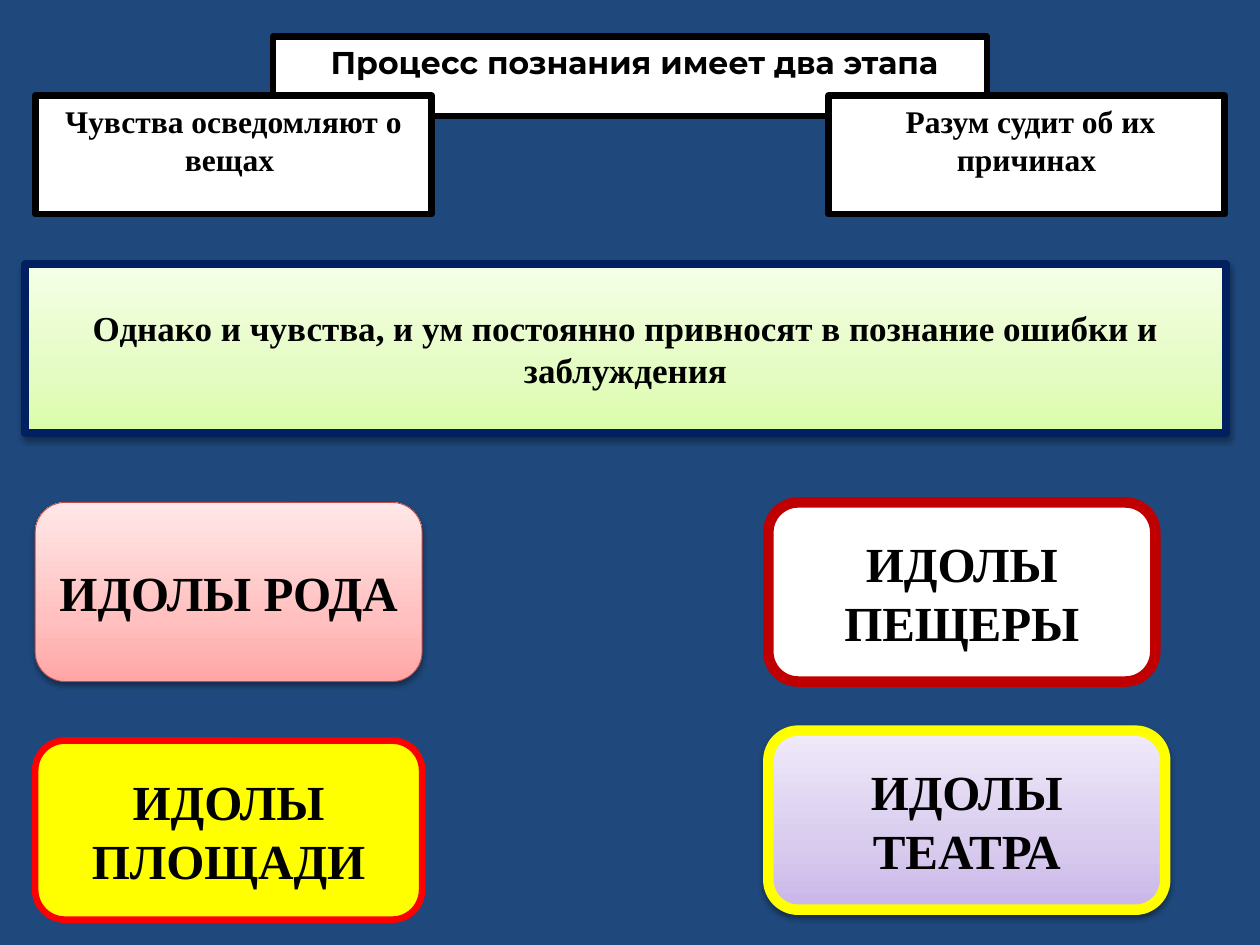
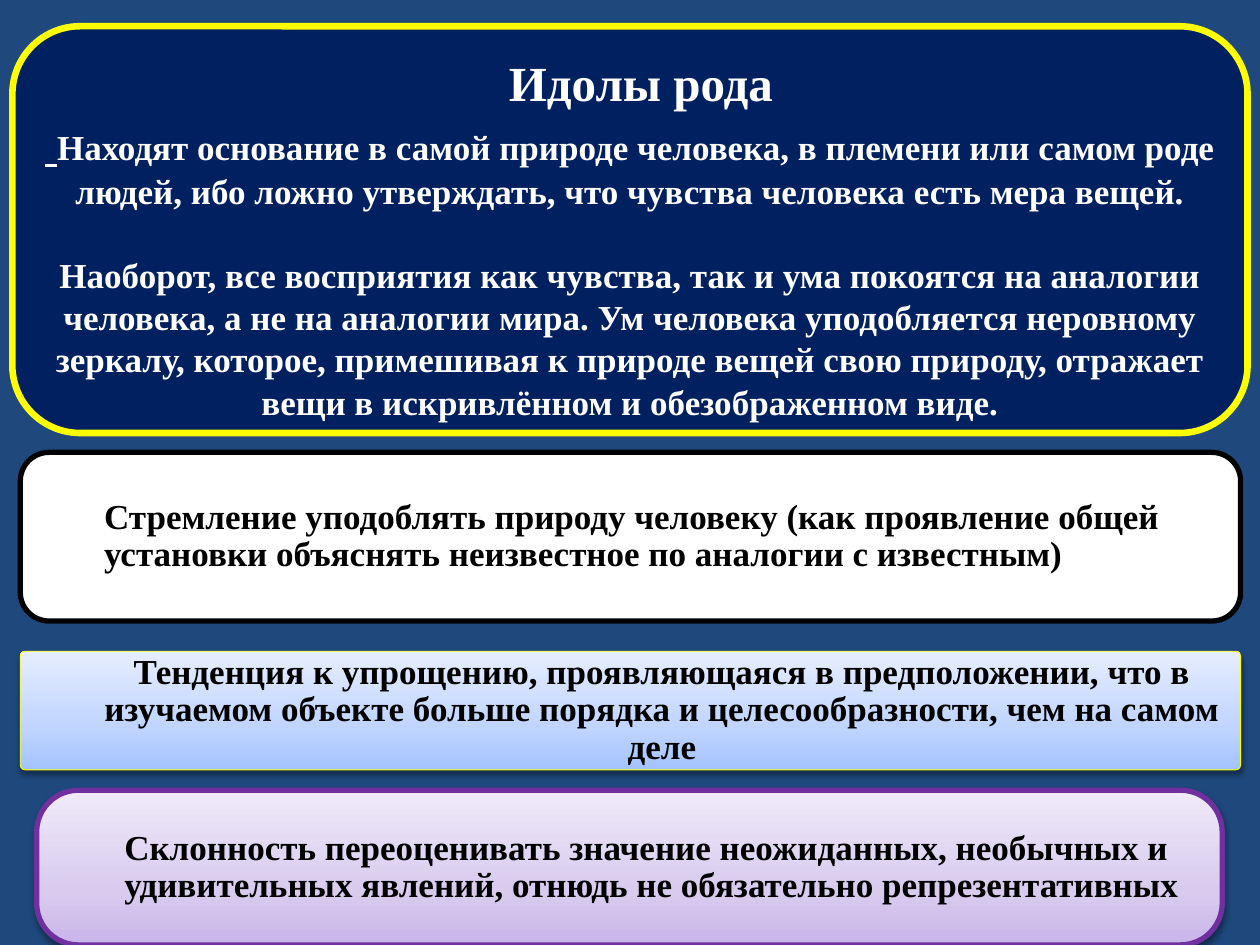
import pptx
import pptx.dml.color
import pptx.enum.shapes
import pptx.enum.text
import pptx.oxml
import pptx.oxml.ns
import pptx.oxml.xmlchemy
import pptx.util
import lxml.etree

Cm = pptx.util.Cm
Pt = pptx.util.Pt
qn = pptx.oxml.ns.qn
SHAPES = pptx.enum.shapes.MSO_SHAPE
ALIGN = pptx.enum.text.PP_ALIGN
ANCHOR = pptx.enum.text.MSO_ANCHOR

NAVY, WHITE, BLACK, YELLOW = "002060", "FFFFFF", "000000", "FFFF00"
GREEN_FADE = ("DAFDA7", "E4FCC2", "F5FFE7")
RED_FADE = ("FFA6A5", "FFC0BF", "FFE7E7")
BLUE_FADE = ("A4C4FF", "BFD4FF", "E6EEFF")
PURPLE_FADE = ("C9B5E8", "D8CBEE", "F0EAF9")
FADE_POSITIONS = (0, 35, 100)
SERIF = "Times New Roman"
THICK = 3.78


def color(value):
    return pptx.dml.color.RGBColor.from_string(value)


def apply(target, values):
    for name, value in values.items():
        setattr(target, name, value)


def add_color(parent, value):
    return lxml.etree.SubElement(parent, qn("a:srgbClr"), val=value)


def fill_fade(shape, fade):
    shape.fill.gradient()
    shape.fill.gradient_angle = 90
    stops = shape.element.find(".//" + qn("a:gsLst"))
    for stop in list(stops):
        stops.remove(stop)
    for position, value in zip(FADE_POSITIONS, fade):
        stop = lxml.etree.SubElement(stops, qn("a:gs"), pos=str(position * 1000))
        add_color(stop, value)


def add_shadow(shape):
    effects = shape.element.find(".//" + qn("a:effectLst"))
    shadow = lxml.etree.SubElement(
        effects, qn("a:outerShdw"), blurRad=str(Pt(3.5)), dist=str(Pt(2)),
        dir="5400000", rotWithShape="0")
    lxml.etree.SubElement(add_color(shadow, BLACK), qn("a:alpha"), val="38000")


def place(shape, box):
    apply(shape, dict(zip(("left", "top", "width", "height"), map(Cm, box))))


def paint(shape, fill, line, line_width):
    shape.shadow.inherit = False
    if isinstance(fill, tuple):
        fill_fade(shape, fill)
        add_shadow(shape)
    else:
        shape.fill.solid()
        shape.fill.fore_color.rgb = color(fill)
    shape.line.color.rgb = color(line)
    shape.line.width = Pt(line_width)


def write_run(paragraph, text, size, text_color, font=SERIF, underline=False):
    run = paragraph.add_run()
    run.text = text
    apply(run.font, {"name": font, "size": Pt(size), "bold": True,
                     "underline": underline})
    run.font.color.rgb = color(text_color)


def write(shape, text, size, text_color=BLACK, font=SERIF, frame_values=None,
          paragraph_values=None):
    frame = shape.text_frame
    apply(frame, {"word_wrap": True,
                  "auto_size": pptx.enum.text.MSO_AUTO_SIZE.NONE,
                  "vertical_anchor": ANCHOR.MIDDLE, **(frame_values or {})})
    paragraph = frame.paragraphs[0]
    apply(paragraph, {"alignment": ALIGN.CENTER, **(paragraph_values or {})})
    write_run(paragraph, text, size, text_color, font)


def add_panel(slide, kind, box, fill, line, line_width):
    shape = slide.shapes.add_shape(kind, *map(Cm, box))
    paint(shape, fill, line, line_width)
    return shape


def add_stages(slide, box):
    left, top, width, height = box
    title = slide.shapes.title
    place(title, (left + 0.2 * width, top, 0.6 * width, 1.6))
    paint(title, WHITE, BLACK, THICK)
    top_anchor = {"vertical_anchor": ANCHOR.TOP}
    write(title, " Процесс познания имеет два этапа", 18, font="Montserrat",
          frame_values=top_anchor)
    stage_width, drop = width / 3, 1.19
    for offset, text in ((0, "Чувства осведомляют о вещах "),
                         (width - stage_width, " Разум судит об их причинах")):
        stage = add_panel(
            slide, SHAPES.RECTANGLE,
            (left + offset, top + drop, stage_width, height - drop),
            WHITE, BLACK, THICK)
        write(stage, text, 18, frame_values=top_anchor)


def add_conclusion(slide, box):
    panel = add_panel(slide, SHAPES.RECTANGLE, box, GREEN_FADE, NAVY, 4.5)
    write(panel, "Однако и чувства, и ум постоянно привносят в познание "
                 "ошибки и заблуждения", 20)


def add_idols(slide, box):
    left, top, width, height = box
    card_height, right_column = 3.61, 14.78
    last_row = height - card_height
    idols = (
        ("ИДОЛЫ РОДА", 0, 0, 7.8, RED_FADE, "BF4C48", 0.5),
        ("ИДОЛЫ ПЛОЩАДИ", 0, last_row, 7.8, YELLOW, "FF0000", THICK),
        ("ИДОЛЫ ПЕЩЕРЫ", right_column, 0, 7.8, WHITE, "C00000", 6),
        ("ИДОЛЫ ТЕАТРА", right_column, last_row - 0.2, width - right_column,
         PURPLE_FADE, YELLOW, 6),
    )
    for text, across, down, card_width, fill, line, line_width in idols:
        card = add_panel(slide, SHAPES.ROUNDED_RECTANGLE,
                         (left + across, top + down, card_width, card_height),
                         fill, line, line_width)
        write(card, text, 28)


def add_definition(slide, box):
    left, top, width, height = box
    panel = add_panel(slide, SHAPES.FLOWCHART_ALTERNATE_PROCESS, box,
                      NAVY, YELLOW, THICK)
    title = slide.shapes.title
    panel.element.addnext(title.element)
    place(title, (left + 0.22, top + 0.4, width, 1.4))
    write(title, "Идолы рода", 28, WHITE,
          frame_values={"vertical_anchor": ANCHOR.TOP})

    write(panel, " ", 28, WHITE,
          frame_values={"vertical_anchor": ANCHOR.TOP, "margin_top": Cm(1.31)})
    first = panel.text_frame.paragraphs[0]
    first.runs[0].font.underline = True
    write_run(first, "Находят основание в самой природе человека, в племени "
                     "или самом роде людей, ибо ложно утверждать, что чувства "
                     "человека есть мера вещей.", 20, WHITE)
    second = panel.text_frame.add_paragraph()
    apply(second, {"alignment": ALIGN.CENTER, "space_before": Pt(24)})
    write_run(second, "Наоборот, все восприятия как чувства, так и ума "
                      "покоятся на аналогии человека, а не на аналогии мира. "
                      "Ум человека уподобляется неровному зеркалу, которое, "
                      "примешивая к природе вещей свою природу, отражает вещи "
                      "в искривлённом и обезображенном виде.", 20, WHITE)


def add_statement(slide, box, text, fill, line, line_width, corner, alignment):
    panel = add_panel(slide, SHAPES.ROUNDED_RECTANGLE, box, fill, line, line_width)
    panel.adjustments[0] = corner
    write(panel, text, 20, frame_values={"margin_left": Cm(1.52)},
          paragraph_values={"alignment": alignment, "line_spacing": 0.9})


def build_overview(slide):
    add_conclusion(slide, (0.51, 5.33, 24.2, 3.4))
    add_idols(slide, (0.71, 10.13, 22.78, 8.41))
    add_stages(slide, (0.71, 0.74, 23.98, 3.58))


def build_tribe_idols(slide):
    add_definition(slide, (0.25, 0.53, 24.9, 8.2))
    statements = (
        ((0.41, 9.12, 24.6, 3.4),
         "Стремление уподоблять природу человеку (как проявление общей "
         "установки объяснять неизвестное по аналогии с известным)",
         WHITE, BLACK, 3, 0.17, ALIGN.LEFT),
        ((0.41, 13.13, 24.6, 2.39),
         "Тенденция к упрощению, проявляющаяся в предположении, что в "
         "изучаемом объекте больше порядка и целесообразности, чем на самом "
         "деле", BLUE_FADE, YELLOW, 0.5, 0.04, ALIGN.CENTER),
        ((0.74, 15.93, 23.9, 3.12),
         "Склонность переоценивать значение неожиданных, необычных и "
         "удивительных явлений, отнюдь не обязательно репрезентативных",
         PURPLE_FADE, "7030A0", 3, 0.27, ALIGN.LEFT),
    )
    for statement in statements:
        add_statement(slide, *statement)


presentation = pptx.Presentation()
apply(presentation, {"slide_width": Cm(25.4), "slide_height": Cm(19.05)})
background = presentation.slide_master.background.fill
background.solid()
background.fore_color.rgb = color("1F497D")
title_only = presentation.slide_layouts[5]
for build in (build_overview, build_tribe_idols):
    build(presentation.slides.add_slide(title_only))
presentation.save("out.pptx")
